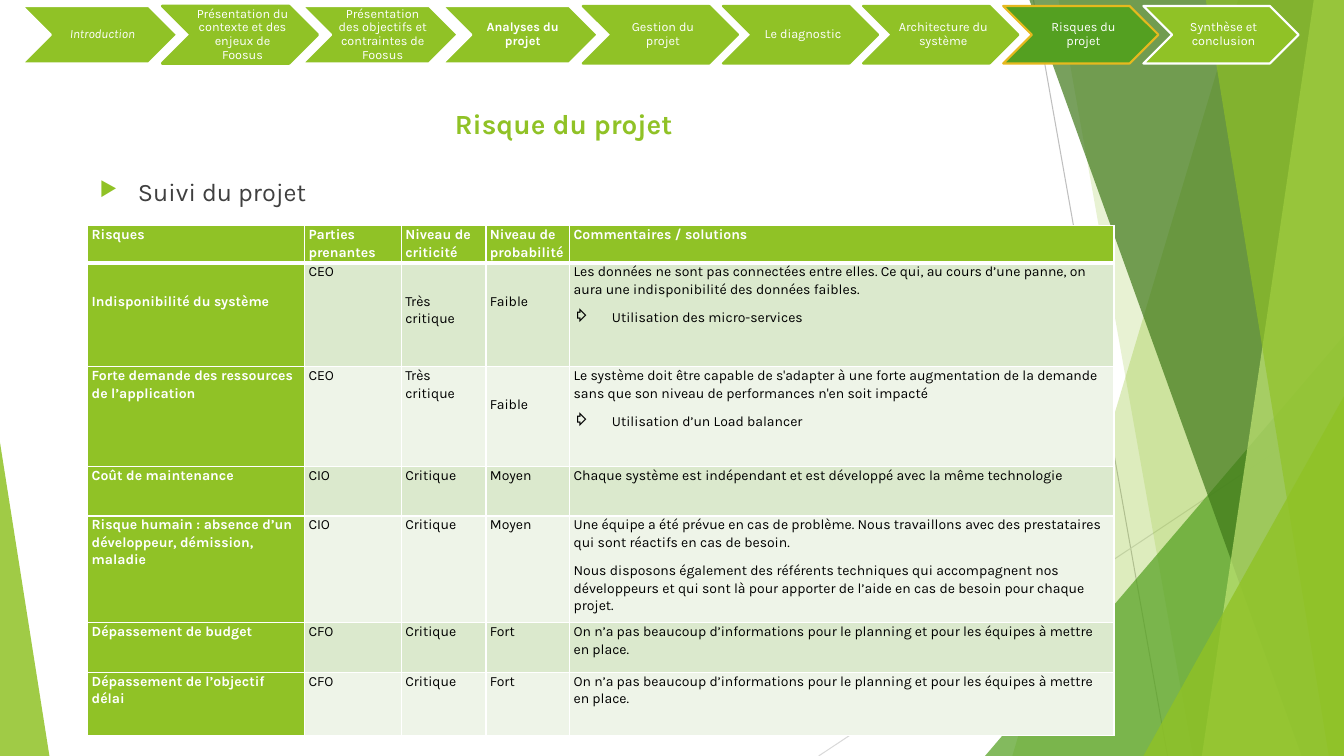
"""Build the project risk slide: step ribbon, title, heading and risk table."""
from dataclasses import dataclass

from lxml.etree import SubElement
from pptx import Presentation
from pptx.dml.color import RGBColor
from pptx.enum.shapes import MSO_CONNECTOR, MSO_SHAPE
from pptx.enum.text import MSO_ANCHOR, MSO_AUTO_SIZE, PP_ALIGN
from pptx.oxml.ns import qn
from pptx.util import Inches, Pt

TITLE = "Risque du projet"
HEADING = "Suivi du projet"
STEPS = ["Introduction", "Présentation du contexte et des enjeux de Foosus",
         "Présentation des objectifs et contraintes de Foosus",
         "Analyses du projet", "Gestion du projet", "Le diagnostic",
         "Architecture du système", "Risques du projet", "Synthèse et conclusion"]
ITALIC, BOLD, ACTIVE = 0, 3, 7
WHITE_EDGE = {0, 2, 3, 8}
ARROW = "⇨"
BUDGET = ["On n’a pas beaucoup d’informations pour le planning et pour les "
          "équipes à mettre en place."]
RISKS = [
    ("Risques", "Parties prenantes", "Niveau de criticité",
     "Niveau de probabilité", ["Commentaires / solutions"]),
    ("Indisponibilité du système", "CEO", "Très critique", "Faible",
     ["Les données ne sont pas connectées entre elles. Ce qui, au cours d’une "
      "panne, on aura une indisponibilité des données faibles.",
      ARROW + "Utilisation des micro-services"]),
    ("Forte demande des ressources de l’application", "CEO", "Très critique",
     "Faible",
     ["Le système doit être capable de s'adapter à une forte augmentation de la "
      "demande sans que son niveau de performances n'en soit impacté",
      ARROW + "Utilisation d’un Load balancer"]),
    ("Coût de maintenance", "CIO", "Critique", "Moyen",
     ["Chaque système est indépendant et est développé avec la même technologie"]),
    ("Risque humain : absence d’un développeur, démission, maladie", "CIO",
     "Critique", "Moyen",
     ["Une équipe a été prévue en cas de problème. Nous travaillons avec des "
      "prestataires qui sont réactifs en cas de besoin.",
      "Nous disposons également des référents techniques qui accompagnent nos "
      "développeurs et qui sont là pour apporter de l’aide en cas de besoin pour "
      "chaque projet."]),
    ("Dépassement de budget", "CFO", "Critique", "Fort", BUDGET),
    ("Dépassement de l’objectif délai", "CFO", "Critique", "Fort", BUDGET),
]
LOWERED = {(1, 0), (1, 2), (1, 3), (2, 3)}
COLS = [2.15, 0.96, 0.84, 0.83, 5.4]
ROWS = [0.37, 1.03, 0.99, 0.49, 1.06, 0.49, 0.63]
WIDE, HIGH = 13.33, 7.5


@dataclass(frozen=True)
class Theme:
    font: str = "Karla"
    green: str = "90C226"
    leaf: str = "54A021"
    dark: str = "3F7819"
    lime: str = "C0E474"
    gold: str = "E6B91E"
    white: str = "FFFFFF"
    black: str = "000000"
    gray: str = "404040"
    bands: tuple = ("EEF4E8", "DBE9CD")
    title: float = 19.8
    head: float = 18
    cell: float = 10
    step: float = 9


LOOK = Theme()
RAYS = [((10.25, 0), (11.58, HIGH), "BFBFBF"), ((WIDE, 4.03), (8.12, HIGH), "D9D9D9")]
DECOR = [
    ("band", (12.28, 10.04), LOOK.green, 30),
    ("band", (10.5, 11.83), LOOK.green, 20),
    ("wedge", (9.77, 3.33, 3.56, 1), LOOK.leaf, 72),
    ("band", (10.21, 12.91), LOOK.dark, 70),
    ("band", (13.03, 11.92), LOOK.lime, 70),
    ("band", (11.96, 13.18), LOOK.green, 65),
    ("wedge", (11.34, 3.93, 1.99, 1), LOOK.green, 80),
    ("wedge", (0, 4.39, 0.49, 0), LOOK.green, 85),
]


def rgb(code):
    return RGBColor.from_string(code)


def paint(shape, color, alpha=100, edge=None, width=1.5):
    shape.shadow.inherit = False
    shape.fill.solid()
    shape.fill.fore_color.rgb = rgb(color)
    if alpha < 100:
        tone = shape.fill._xPr.find(".//" + qn("a:srgbClr"))
        SubElement(tone, qn("a:alpha"), val=str(alpha * 1000))
    if edge:
        shape.line.color.rgb = rgb(edge)
        shape.line.width = Pt(width)
    else:
        shape.line.fill.background()


def write(frame, texts, size=LOOK.cell, color=LOOK.black, bold=False, italic=False,
          align=PP_ALIGN.LEFT, lead=1.07, after=8, mark=None, tint=None, scale=100):
    frame.word_wrap = True
    for num, text in enumerate(texts):
        para = frame.add_paragraph() if num else frame.paragraphs[0]
        para.alignment, para.line_spacing = align, lead
        para.space_before, para.space_after = Pt(0), Pt(after)
        if mark and text.startswith(mark):
            text = text[len(mark):]
            props = para._p.get_or_add_pPr()
            props.set("marL", str(Inches(0.38)))
            props.set("indent", str(-Inches(0.38)))
            if tint:
                SubElement(SubElement(props, qn("a:buClr")), qn("a:srgbClr"), val=tint)
            SubElement(props, qn("a:buSzPct"), val=str(scale * 1000))
            SubElement(props, qn("a:buChar"), char=mark)
        run = para.add_run()
        run.text = text
        font = run.font
        font.name, font.size, font.bold, font.italic = LOOK.font, Pt(size), bold, italic
        font.color.rgb = rgb(color)


def add_decor(shapes):
    for start, end, color in RAYS:
        ray = shapes.add_connector(MSO_CONNECTOR.STRAIGHT, *map(Inches, start + end))
        ray.line.color.rgb, ray.line.width = rgb(color), Pt(0.75)
        SubElement(ray._element.spPr, qn("a:effectLst"))
    for kind, place, color, alpha in DECOR:
        if kind == "band":
            top, low = place
            pen = shapes.build_freeform(Inches(top), 0)
            pen.add_line_segments([(Inches(x), Inches(y)) for x, y in
                                   ((WIDE, 0), (WIDE, HIGH), (low, HIGH))])
            shape = pen.convert_to_shape()
        else:
            left, top, width, peak = place
            shape = shapes.add_shape(MSO_SHAPE.ISOSCELES_TRIANGLE,
                                     *map(Inches, (left, top, width, HIGH - top)))
            shape.adjustments[0] = peak
        paint(shape, color, alpha)


def add_steps(shapes):
    top, high = Inches(0.06), Inches(0.57)
    for num, name in enumerate(STEPS):
        left = 0.22 + 1.39 * num
        step = shapes.add_shape(MSO_SHAPE.CHEVRON, Inches(left), top, Inches(1.54), high)
        edge = LOOK.white if num in WHITE_EDGE else LOOK.green
        live = num == ACTIVE
        paint(step, LOOK.leaf if live else LOOK.green, edge=LOOK.gold if live else edge,
              width=2 if num == 1 else 1.5)
        frame = shapes.add_textbox(Inches(left + 0.29), top, Inches(0.98), high).text_frame
        frame.margin_left = Inches(0.04)
        frame.margin_top = frame.margin_right = frame.margin_bottom = Inches(0.01)
        frame.vertical_anchor = MSO_ANCHOR.MIDDLE
        write(frame, [name], size=LOOK.step, color=LOOK.white, bold=num == BOLD,
              italic=num == ITALIC, align=PP_ALIGN.CENTER, lead=0.9, after=0)


def add_risks(shapes):
    place = map(Inches, (0.87, 2.24, sum(COLS), sum(ROWS)))
    table = shapes.add_table(len(ROWS), len(COLS), *place).table
    for col, width in zip(table.columns, COLS):
        col.width = Inches(width)
    for row, (high, risk) in enumerate(zip(ROWS, RISKS)):
        table.rows[row].height = Inches(high)
        for col, text in enumerate(risk):
            cell = table.cell(row, col)
            strong = row == 0 or col == 0
            cell.margin_left = cell.margin_right = Inches(0.04)
            cell.margin_top = Inches(0.29 if (row, col) in LOWERED else 0)
            cell.margin_bottom = 0
            thick = {"T": 3 if row == 1 else 1, "B": 3 if row == 0 else 1}
            for side in "LRTB":
                line = SubElement(cell._tc.get_or_add_tcPr(), qn("a:ln" + side),
                                  w=str(Pt(thick.get(side, 1))))
                SubElement(SubElement(line, qn("a:solidFill")), qn("a:srgbClr"),
                           val=LOOK.white)
            cell.fill.solid()
            cell.fill.fore_color.rgb = rgb(LOOK.green if strong else LOOK.bands[row % 2])
            write(cell.text_frame, text if col == 4 else [text], bold=strong, mark=ARROW,
                  color=LOOK.white if strong else LOOK.black)


def main():
    deck = Presentation()
    deck.slide_width, deck.slide_height = Inches(WIDE), Inches(HIGH)
    slide = deck.slides.add_slide(deck.slide_layouts[5])
    shapes = slide.shapes
    add_decor(shapes)
    title = shapes.title
    title.left, title.top, title.width, title.height = map(Inches, (0.89, 0.98, 9.4, 0.47))
    title.text_frame.auto_size = MSO_AUTO_SIZE.NONE
    title.text_frame.vertical_anchor = MSO_ANCHOR.MIDDLE
    write(title.text_frame, [TITLE], size=LOOK.title, color=LOOK.green, bold=True,
          align=PP_ALIGN.CENTER)
    head = shapes.add_textbox(*map(Inches, (0.89, 1.7, 9.87, 0.5)))
    write(head.text_frame, ["▶" + HEADING], size=LOOK.head, color=LOOK.gray, lead=1.0,
          after=0, mark="▶", tint=LOOK.green, scale=80)
    add_steps(shapes)
    add_risks(shapes)
    deck.save("out.pptx")


if __name__ == "__main__":
    main()
